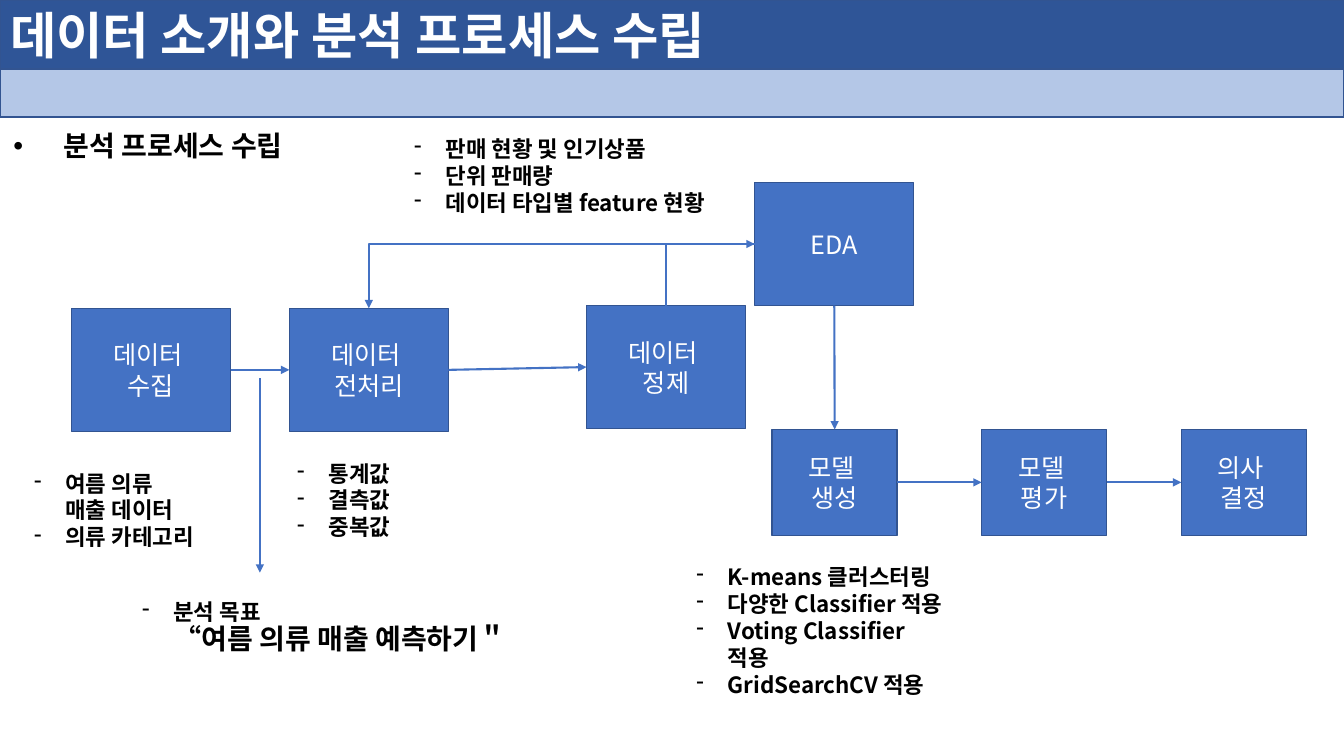
from dataclasses import dataclass

from lxml import etree
from pptx import Presentation
from pptx.dml.color import RGBColor
from pptx.enum.shapes import MSO_CONNECTOR, MSO_SHAPE
from pptx.enum.text import MSO_ANCHOR, MSO_AUTO_SIZE, PP_ALIGN
from pptx.oxml.ns import qn
from pptx.util import Cm, Pt

RECT = MSO_SHAPE.RECTANGLE
STRAIGHT, ELBOW = MSO_CONNECTOR.STRAIGHT, MSO_CONNECTOR.ELBOW
MIDDLE, TOP_ANCHOR = MSO_ANCHOR.MIDDLE, MSO_ANCHOR.TOP
LEFT_ALIGN, CENTER = PP_ALIGN.LEFT, PP_ALIGN.CENTER
NO_AUTOSIZE = MSO_AUTO_SIZE.NONE

WHITE = RGBColor(0xFF, 0xFF, 0xFF)
BLACK = RGBColor(0x00, 0x00, 0x00)
NAVY = RGBColor(0x2F, 0x55, 0x97)
PALE = RGBColor(0xB4, 0xC7, 0xE7)
BLUE = RGBColor(0x44, 0x72, 0xC4)
BORDER = RGBColor(0x32, 0x54, 0x91)

FONT = "Noto Sans CJK KR"
WIDTH = 33.87
LINE_HEIGHT = 1.2
TOP, LEFT, BOTTOM, RIGHT = range(4)  # connection sites of a rectangle


@dataclass
class Step:
    name: str
    lines: list[str]
    left: float
    top: float
    width: float = 4.01
    height: float = 3.1


@dataclass
class Note:
    left: float
    top: float
    width: float
    height: float
    items: list[list[tuple[str, int]]]


@dataclass
class Arrow:
    start: str
    start_site: int
    end: str
    end_site: int
    kind: int = STRAIGHT
    tip: str = "tailEnd"


def place(sp, left: float, top: float, width: float, height: float) -> None:
    sp.left, sp.top, sp.width, sp.height = Cm(left), Cm(top), Cm(width), Cm(height)


def paint(sp, fill: RGBColor) -> None:
    sp.fill.solid()
    sp.fill.fore_color.rgb = fill
    sp.line.color.rgb = BORDER
    sp.line.width = Pt(1)
    sp.shadow.inherit = False


def write(tf, paragraphs, *, color=BLACK, bold=False, align=LEFT_ALIGN,
          anchor=TOP_ANCHOR, bullet="", indent=0.0) -> None:
    """Fill a frame; each paragraph is a list of (text, size) lines."""
    tf.word_wrap = True
    tf.auto_size = NO_AUTOSIZE
    tf.vertical_anchor = anchor
    for i, lines in enumerate(paragraphs):
        p = tf.paragraphs[0] if i == 0 else tf.add_paragraph()
        p.alignment = align
        p.space_before = Pt(0)
        p.line_spacing = Pt(LINE_HEIGHT * sum(size for _, size in lines) / len(lines))
        if bullet:
            pPr = p._p.get_or_add_pPr()
            pPr.set("marL", str(Cm(indent)))
            pPr.set("indent", str(-Cm(indent)))
            etree.SubElement(pPr, qn("a:buChar"), char=bullet)
        for j, (text, size) in enumerate(lines):
            if j:
                p.add_line_break()
            r = p.add_run()
            r.text = text
            r.font.size = Pt(size)
            r.font.bold = bold
            r.font.color.rgb = color
            r.font.name = FONT
            etree.SubElement(r._r.get_or_add_rPr(), qn("a:ea"), typeface=FONT)


def add_step(shapes, step: Step):
    sp = shapes.add_shape(RECT, 0, 0, 0, 0)
    place(sp, step.left, step.top, step.width, step.height)
    paint(sp, BLUE)
    write(sp.text_frame, [[(line, 18)] for line in step.lines],
          color=WHITE, align=CENTER, anchor=MIDDLE)
    return sp


def style_arrow(connector, tip: str = "tailEnd") -> None:
    connector.line.color.rgb = BLUE
    connector.line.width = Pt(1.5)
    spPr = connector._element.spPr
    etree.SubElement(spPr.find(qn("a:ln")), qn(f"a:{tip}"), type="triangle")
    etree.SubElement(spPr, qn("a:effectLst"))


def add_arrow(shapes, arrow: Arrow, boxes: dict) -> None:
    connector = shapes.add_connector(arrow.kind, 0, 0, 0, 0)
    connector.begin_connect(boxes[arrow.start], arrow.start_site)
    connector.end_connect(boxes[arrow.end], arrow.end_site)
    if arrow.kind == ELBOW:  # a single corner
        connector._element.spPr.find(qn("a:prstGeom")).set("prst", "bentConnector2")
    style_arrow(connector, arrow.tip)


def add_note(shapes, note: Note) -> None:
    sp = shapes.add_textbox(0, 0, 0, 0)
    place(sp, note.left, note.top, note.width, note.height)
    write(sp.text_frame, note.items, bold=True, bullet="-", indent=0.79)


SMALL = {"top": 10.82, "width": 3.15, "height": 2.67}
STEPS = [
    Step("collect", ["데이터 ", "수집"], 1.8, 7.77),
    Step("prepare", ["데이터 ", "전처리"], 7.29, 7.77),
    Step("refine", ["데이터 ", "정제"], 14.78, 7.7),
    Step("eda", ["EDA"], 19.02, 4.6),
    Step("build", ["모델 ", "생성"], 19.46, **SMALL),
    Step("evaluate", ["모델 ", "평가"], 24.74, **SMALL),
    Step("decide", ["의사 ", "결정"], 29.77, **SMALL),
]
ARROWS = [
    Arrow("collect", RIGHT, "prepare", LEFT),
    Arrow("prepare", RIGHT, "refine", LEFT),
    Arrow("eda", BOTTOM, "build", TOP),
    Arrow("build", RIGHT, "evaluate", LEFT),
    Arrow("evaluate", RIGHT, "decide", LEFT),
    Arrow("eda", LEFT, "refine", TOP, ELBOW, "headEnd"),
    Arrow("eda", LEFT, "prepare", TOP, ELBOW),
]
NOTES = [
    Note(3.33, 14.86, 10.24, 1.8, [[("분석 목표", 16), ("“여름 의류 매출 예측하기＂", 20)]]),
    Note(7.24, 11.46, 3.02, 2.31, [[("통계값", 16)], [("결측값", 16)], [("중복값", 16)]]),
    Note(0.61, 11.71, 4.93, 2.31,
         [[("여름 의류 ", 16), ("매출 데이터", 16)], [("의류 카테고리", 16)]]),
    Note(10.19, 3.28, 8.41, 2.31,
         [[("판매 현황 및 인기상품", 16)], [("단위 판매량", 16)],
          [("데이터 타입별 feature 현황", 16)]]),
    Note(17.3, 14.07, 7.04, 3.0,
         [[("K-means 클러스터링", 16)], [("다양한 Classifier 적용", 16)],
          [("Voting Classifier ", 16), ("적용", 16)], [("GridSearchCV 적용", 16)]]),
]

prs = Presentation()
prs.slide_width, prs.slide_height = Cm(WIDTH), Cm(19.05)
s = prs.slides.add_slide(prs.slide_layouts[1])
title, heading = s.placeholders

# Header: title bar and pale band
place(title, 0, 0, WIDTH, 1.73)
paint(title, NAVY)
write(title.text_frame, [[("데이터 소개와 분석 프로세스 수립", 36)]],
      color=WHITE, bold=True, anchor=MIDDLE)
band = s.shapes.add_shape(RECT, 0, 0, 0, 0)
place(band, 0, 1.75, WIDTH, 1.2)
paint(band, PALE)

# Section heading
place(heading, 0.08, 3.12, 8, 1.12)
write(heading.text_frame, [[("분석 프로세스 수립", 20)]], bold=True, bullet="•", indent=1.27)

# Process flow
boxes = {step.name: add_step(s.shapes, step) for step in STEPS}
for arrow in ARROWS:
    add_arrow(s.shapes, arrow, boxes)
goal_arrow = s.shapes.add_connector(STRAIGHT, Cm(6.55), Cm(9.53), Cm(6.55), Cm(14.43))
style_arrow(goal_arrow)

# Notes beside the steps
for note in NOTES:
    add_note(s.shapes, note)

prs.save("out.pptx")
